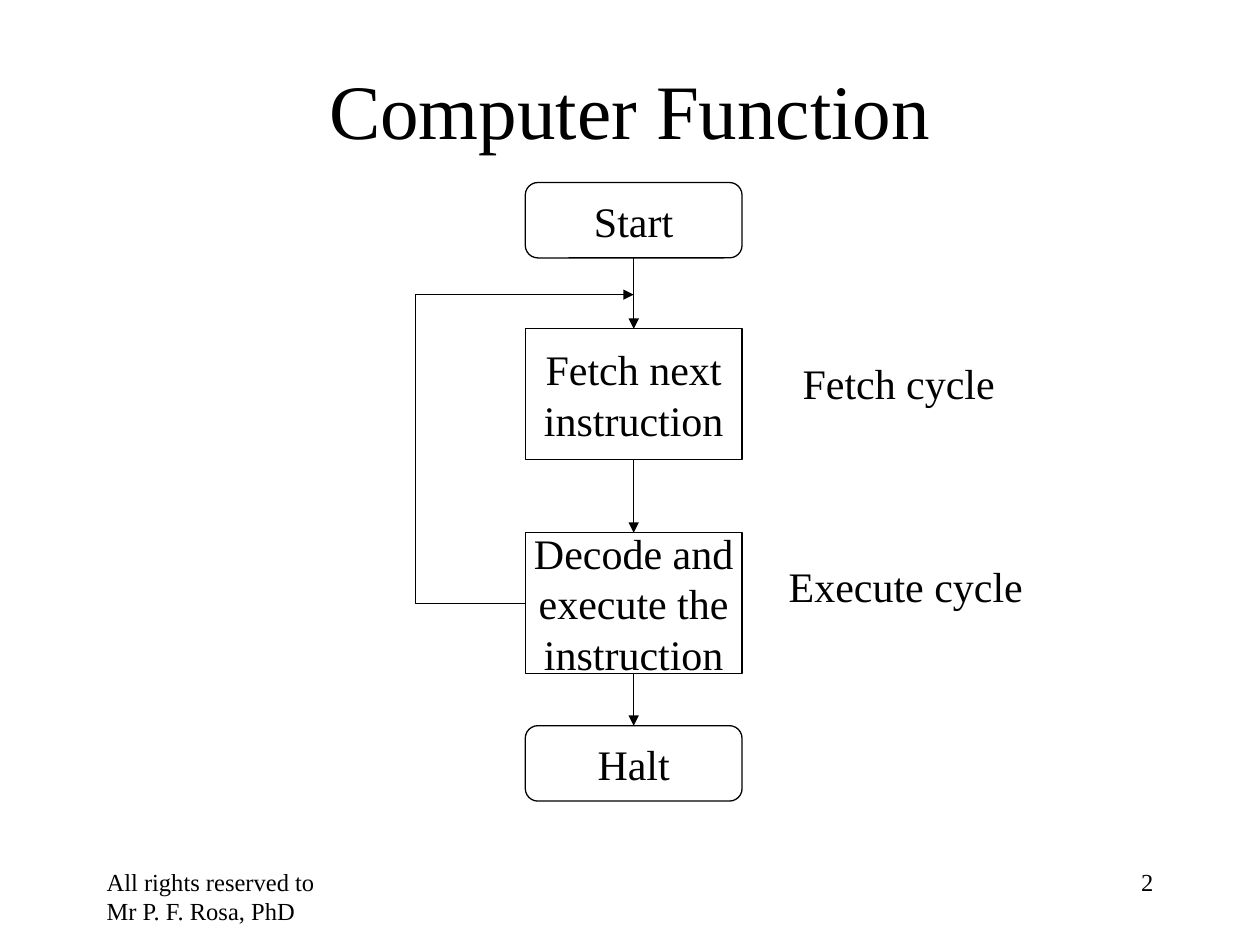
from lxml.etree import SubElement
from pptx import Presentation
from pptx.dml.color import RGBColor
from pptx.enum.shapes import MSO_CONNECTOR, MSO_SHAPE
from pptx.enum.text import MSO_ANCHOR, MSO_AUTO_SIZE, PP_ALIGN
from pptx.oxml.ns import qn
from pptx.util import Cm, Pt

COLOURS = {"ink": "000000", "paper": "FFFFFF"}
FONT = "Times New Roman"
ROUNDED = MSO_SHAPE.FLOWCHART_ALTERNATE_PROCESS
SQUARE = MSO_SHAPE.RECTANGLE
STEPS = [
    (ROUNDED, 0, 1.52, ["Start"]),
    (SQUARE, 2.95, 2.64, ["Fetch next", "instruction"]),
    (SQUARE, 7.06, 2.84, ["Decode and", "execute the", "instruction"]),
    (ROUNDED, 10.95, 1.52, ["Halt"]),
]


def colour(name):
    return RGBColor.from_string(COLOURS[name])


def write(shape, lines, size, align=PP_ALIGN.LEFT, anchor=MSO_ANCHOR.TOP, wrap=True):
    frame = shape.text_frame
    frame.word_wrap = wrap
    frame.vertical_anchor = anchor
    for number, line in enumerate(lines):
        para = frame.add_paragraph() if number else frame.paragraphs[0]
        para.alignment = align
        span = para.add_run()
        span.text = line
        span.font.name = FONT
        span.font.size = Pt(size)
        span.font.color.rgb = colour("ink")


def add_text(page, box, text, size, **style):
    shape = page.shapes.add_textbox(*(Cm(length) for length in box))
    write(shape, [text], size, **style)
    return shape


def draw_line(shape, arrow=False):
    shape.line.color.rgb = colour("ink")
    shape.line.width = Pt(0.75)
    if arrow:
        SubElement(shape.line._get_or_add_ln(), qn("a:tailEnd"), type="triangle")


def add_step(page, box, kind, lines):
    step = page.shapes.add_shape(kind, *(Cm(length) for length in box))
    step.shadow.inherit = False
    step.fill.background()
    draw_line(step)
    write(step, lines, 24, PP_ALIGN.CENTER, MSO_ANCHOR.MIDDLE, wrap=False)
    return step


def add_arrow(page, upper, lower):
    arrow = page.shapes.add_connector(MSO_CONNECTOR.STRAIGHT, 0, 0, 0, 0)
    arrow.begin_connect(upper, 2)
    arrow.end_connect(lower, 0)
    draw_line(arrow, arrow=True)
    SubElement(arrow._element.spPr, qn("a:effectLst"))


def add_loop(page, source, left, top, right):
    middle = source.top + source.height // 2
    builder = page.shapes.build_freeform(source.left, middle)
    builder.add_line_segments([(left, middle), (left, top), (right, top)], close=False)
    loop = builder.convert_to_shape()
    loop.shadow.inherit = False
    loop.fill.background()
    draw_line(loop, arrow=True)


def add_flowchart(page, left, top, width):
    indent = 2.21
    steps = [
        add_step(page, (left + indent, top + offset, width - indent, height), kind, lines)
        for kind, offset, height, lines in STEPS
    ]
    for upper, lower in zip(steps, steps[1:]):
        add_arrow(page, upper, lower)
    centre = steps[0].left + steps[0].width // 2
    add_loop(page, steps[2], Cm(left), Cm(top + 2.26), centre)


def add_cycle_labels(page, left, top):
    for across, down, width, text in (
        (0.28, 0, 4.39, "Fetch cycle"),
        (0, 4.09, 5.23, "Execute cycle"),
    ):
        label = add_text(page, (left + across, top + down, width, 1.27), text, 24, wrap=False)
        label.text_frame.auto_size = MSO_AUTO_SIZE.SHAPE_TO_FIT_TEXT


def add_title(page, left, top, width, height):
    add_text(page, (left, top, width, height), "Computer Function", 44,
             align=PP_ALIGN.CENTER, anchor=MSO_ANCHOR.MIDDLE)


def add_footer(page, left, top, width, height):
    part = 5.29
    add_text(page, (left, top, part, height), "All rights reserved to Mr P. F. Rosa, PhD", 14)
    add_text(page, (left + width - part, top, part, height), "2", 14, align=PP_ALIGN.RIGHT)


def main():
    deck = Presentation()
    deck.slide_width = Cm(25.4)
    deck.slide_height = Cm(19.05)
    page = deck.slides.add_slide(deck.slide_layouts[6])
    page.background.fill.solid()
    page.background.fill.fore_color.rgb = colour("paper")
    add_title(page, 1.9, 0.92, 21.6, 2.54)
    add_flowchart(page, 8.38, 3.68, 6.58)
    add_cycle_labels(page, 15.65, 7.09)
    add_footer(page, 1.9, 17.35, 21.6, 1.27)
    deck.save("out.pptx")


if __name__ == "__main__":
    main()
